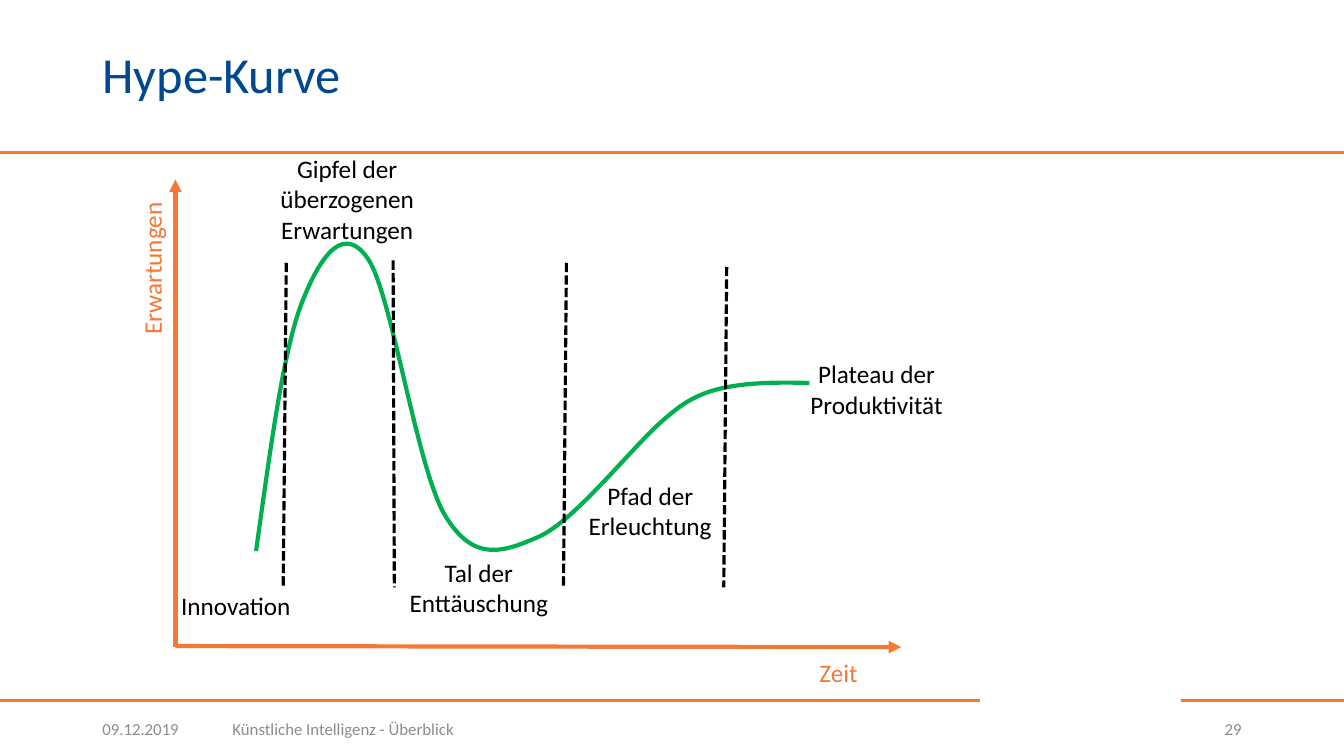
from pptx import Presentation
from pptx.util import Pt
from pptx.dml.color import RGBColor
from pptx.enum.dml import MSO_LINE as Dash
from pptx.enum.shapes import MSO_CONNECTOR as Conn
from pptx.enum.text import MSO_ANCHOR as Anchor, PP_ALIGN as Align
from pptx.oxml.ns import qn
from lxml.etree import SubElement

COLORS = {"rule": "F47936", "axis": "F47836", "title": "004990",
          "foot": "8C8C8C", "curve": "00B050", "ink": "000000"}


def add_line(x1, y1, x2, y2, color, width):
    line = slide.shapes.add_connector(Conn.STRAIGHT, Pt(x1), Pt(y1), Pt(x2), Pt(y2))
    line.line.color.rgb = RGBColor.from_string(COLORS[color])
    line.line.width = Pt(width)
    SubElement(line._element.spPr, qn("a:effectLst"))
    return line


def add_text(text, x, y, w, h, color, size=18, align=Align.LEFT, wrap=False):
    box = slide.shapes.add_textbox(Pt(x), Pt(y), Pt(w), Pt(h))
    frame = box.text_frame
    frame.word_wrap = wrap
    frame.text = text
    for para in frame.paragraphs:
        para.alignment = align
        para.font.name = "Calibri"
        para.font.size = Pt(size)
        para.font.color.rgb = RGBColor.from_string(COLORS[color])
    return box


prs = Presentation()
prs.slide_width, prs.slide_height = Pt(960), Pt(540)
slide = prs.slides.add_slide(prs.slide_layouts[5])

# Rules across the page
for x1, x2, y in [(0, 960, 108.9), (0, 700, 500.3), (843.5, 960, 500.3)]:
    add_line(x1, y, x2, y, "rule", 2)

# Title
title = slide.shapes.title
title.left, title.top, title.width, title.height = Pt(66), Pt(12.5), Pt(828), Pt(85)
title.text_frame.text = "Hype-Kurve"
title.text_frame.vertical_anchor = Anchor.MIDDLE
head = title.text_frame.paragraphs[0]
head.alignment = Align.LEFT
head.line_spacing = 0.9
head.font.name = "Calibri"
head.font.size = Pt(36)
head.font.color.rgb = RGBColor.from_string(COLORS["title"])

# Footer
for text, x, w, align in [
        ("09.12.2019", 66, 84, Align.LEFT),
        ("Künstliche Intelligenz - Überblick", 159, 667, Align.LEFT),
        ("29", 837.5, 56.5, Align.RIGHT)]:
    foot = add_text(text, x, 506.5, w, 28.75, "foot", 12, align, True)
    foot.text_frame.vertical_anchor = Anchor.MIDDLE

# Hype curve: start point, then two handles and an end point per segment
left, top, right, low = 182.9, 173.7, 578.2, 393.6
start = (182.9, 393.6)
bends = [
    [(193, 321.8), (202.3, 249.8), (216, 215.3)],
    [(229.7, 180.7), (246.2, 159.8), (263.2, 185.4)],
    [(280.1, 211), (298.1, 336.2), (318.2, 368.6)],
    [(338.4, 401.8), (359.3, 394.6), (384.8, 383.4)],
    [(410.4, 372.2), (450.7, 320.4), (472.3, 301.4)],
    [(493.9, 282.2), (509.8, 271.4), (578.2, 273.6)],
]
form = slide.shapes.build_freeform(Pt(left), Pt(top))
form.add_line_segments([(Pt(right), Pt(low))], close=False)
curve = form.convert_to_shape()
curve.shadow.inherit = False
curve.fill.background()
curve.line.color.rgb = RGBColor.from_string(COLORS["curve"])
curve.line.width = Pt(3)
trace = next(curve._element.iter(qn("a:path")))
for child in list(trace):
    trace.remove(child)
for tag, dots in [("a:moveTo", [start])] + [("a:cubicBezTo", b) for b in bends]:
    step = SubElement(trace, qn(tag))
    for x, y in dots:
        SubElement(step, qn("a:pt"), x=str(Pt(x - left)), y=str(Pt(y - top)))

# Axes
for ends in [(125.3, 462.2, 125.3, 128.2), (125.3, 461.5, 643.7, 462.2)]:
    axis = add_line(*ends, "axis", 3)
    SubElement(axis.line._get_or_add_ln(), qn("a:tailEnd"), type="triangle")
add_text("Erwartungen", 53.5, 176.6, 110, 29, "axis").rotation = 270
add_text("Zeit", 578.2, 466, 42, 29, "axis")

# Phase borders
for x1, y1, x2 in [(204.5, 187.7, 202.3), (280.8, 186, 281.7),
                   (404.6, 187.7, 402.5), (519.1, 190.6, 517)]:
    add_line(x1, y1, x2, 419.6, "ink", 2.25).line.dash_style = Dash.SQUARE_DOT

# Phase names
for text, x, y, w, h in [
        ("Innovation", 121.7, 417.9, 93.6, 29),
        ("Gipfel der\nüberzogenen\nErwartungen", 192.2, 106, 111.6, 72.7),
        ("Tal der\nEnttäuschung", 284.4, 394.6, 115.2, 51),
        ("Pfad der\nErleuchtung", 412.6, 339.6, 103.7, 51),
        ("Plateau der\nProduktivität", 571, 252.6, 110.2, 51)]:
    add_text(text, x, y, w, h, "ink", align=Align.CENTER)

prs.save("out.pptx")
